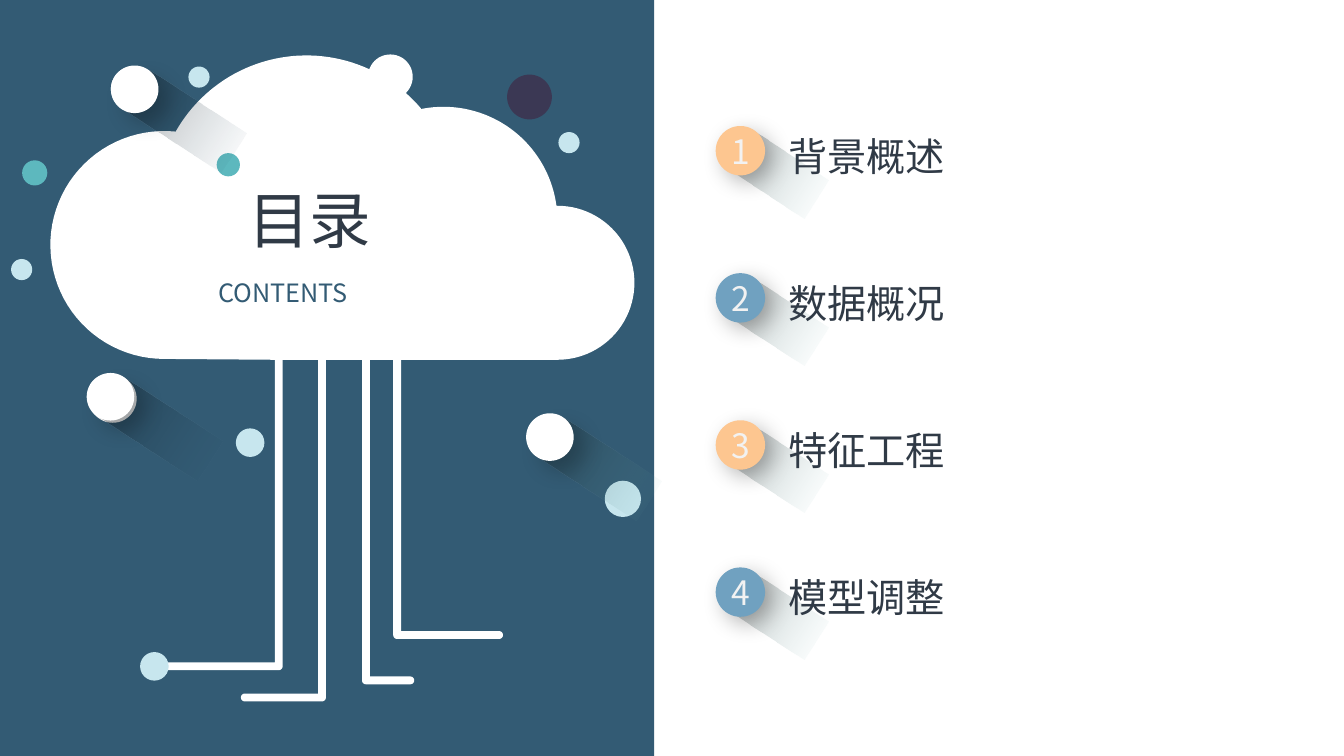
from math import cos, radians, sin

from lxml import etree
from pptx import Presentation
from pptx.dml.color import RGBColor
from pptx.enum.shapes import MSO_SHAPE
from pptx.enum.text import MSO_ANCHOR, MSO_AUTO_SIZE, PP_ALIGN
from pptx.oxml.ns import qn
from pptx.util import Pt

RECT, OVAL = MSO_SHAPE.RECTANGLE, MSO_SHAPE.OVAL
LEFT, CENTER, JUSTIFY = PP_ALIGN.LEFT, PP_ALIGN.CENTER, PP_ALIGN.JUSTIFY
TOP, MIDDLE = MSO_ANCHOR.TOP, MSO_ANCHOR.MIDDLE

# Content
HEADING = "目录"
SUBHEADING = "CONTENTS"
CHAPTERS = ["背景概述", "数据概况", "特征工程", "模型调整"]

THEME = {
    "font": "Noto Sans CJK SC",
    "panel": "335B74", "white": "FFFFFF", "ink": "303A46", "number": "F2F2F2",
    "orange": "FDC690", "blue": "70A1C0", "teal": "5DB8BE", "ice": "C7E6EE",
    "plum": "3B3854", "black": "000000", "mist": "84CBCB",
    "heading_size": 44, "chapter_size": 28, "number_size": 24, "sub_size": 18,
}

# Cloud lobes clockwise from the left: centre x, centre y, radius, from and to angle
LOBES = [
    (117.4, 175, 81.4, 90, 275.6),
    (218.9, 146.9, 107.3, 209.3, 320.1),
    (316.8, 157.7, 81.4, 259.3, 352.4),
    (398.2, 202, 55, 270, 450),
]
CLOUD_BASE = 257
# Circuit legs from right to left: stem x, foot y, tip x
LEGS = [(283.7, 453.6, 359.3), (261.4, 486, 295.9),
        (230, 498.2, 172.1), (199.1, 475.9, 110.9)]
LEG_HALF = 2.8

# Dots: left, top, diameter, colour
DOTS = [
    (79.2, 47.5, 32, "white"), (154.8, 109.4, 16.6, "teal"),
    (362.2, 53.3, 32, "plum"), (262.8, 38.9, 32, "white"),
    (63.4, 267.8, 34.2, "white"), (168.5, 306, 20.4, "ice"),
    (100.1, 465.8, 20.4, "ice"), (398.9, 94.3, 15.1, "ice"),
    (7.9, 185, 15.1, "ice"), (134.6, 47.5, 15.1, "ice"),
    (432, 343.4, 25.9, "ice"), (15.8, 114.5, 18, "teal"),
]
# Raised white dots: left, top, colour the long shadow fades to
RAISED_DOTS = [(61.9, 266.4, "panel"), (79.2, 46.8, "panel"), (375.8, 295.2, "mist")]
RAISED_SIZE = 34
CHAPTER_TOP, CHAPTER_STEP, BADGE_SIZE = 90, 105.1, 35.3

prs = Presentation()
prs.slide_width, prs.slide_height = Pt(960), Pt(540)
slide = prs.slides.add_slide(prs.slide_layouts[4])
shapes = slide.shapes
heading, *chapter_boxes, = [p for p in slide.placeholders if p.placeholder_format.idx < 5]


def rgb(name):
    return RGBColor.from_string(THEME[name])


def add_alpha(color, percent):
    etree.SubElement(color, qn("a:alpha"), val=str(percent * 1000))


def place(box, left, top, width, height):
    box.left, box.top, box.width, box.height = Pt(left), Pt(top), Pt(width), Pt(height)
    shapes.element.append(box.element)  # bring to front


def write(box, text, size, color, align=LEFT, anchor=TOP, wrap=True):
    frame = box.text_frame
    frame.word_wrap, frame.auto_size = wrap, MSO_AUTO_SIZE.NONE
    frame.vertical_anchor = anchor
    paragraph = frame.paragraphs[0]
    paragraph.alignment = align
    paragraph.space_before = Pt(0)
    props = paragraph._p.get_or_add_pPr()
    props.set("marL", "0")
    props.set("indent", "0")
    etree.SubElement(props, qn("a:buNone"))
    run = paragraph.add_run()
    run.text = text
    font = run.font
    font.name, font.size, font.bold = THEME["font"], Pt(THEME[size]), False
    font.color.rgb = rgb(color)
    etree.SubElement(run._r.get_or_add_rPr(), qn("a:ea"), typeface=THEME["font"])


def paint(shape, color):
    shape.shadow.inherit = False
    shape.fill.solid()
    shape.fill.fore_color.rgb = rgb(color)
    shape.line.fill.background()
    return shape


def draw(kind, left, top, width, height, color):
    return paint(shapes.add_shape(kind, Pt(left), Pt(top), Pt(width), Pt(height)), color)


def cast_shadow(shape, alpha, blur, distance):
    effects = shape.element.spPr.find(qn("a:effectLst"))
    outer = etree.SubElement(effects, qn("a:outerShdw"), blurRad=str(Pt(blur)),
                             dist=str(Pt(distance)), dir="2700000",
                             algn="tl", rotWithShape="0")
    add_alpha(etree.SubElement(outer, qn("a:srgbClr"), val=THEME["black"]), alpha)


def draw_streak(left, top, width, height, fade):
    streak = draw(RECT, left, top, width, height, fade)
    streak.rotation = 33
    streak.fill.gradient()
    streak.fill.gradient_angle = 0
    for stop, name in zip(streak.fill.gradient_stops, ("black", fade)):
        stop.color.rgb = rgb(name)
    colors = streak.element.spPr.find(qn("a:gradFill")).iter(qn("a:srgbClr"))
    for color, alpha in zip(list(colors), (34, 0)):
        add_alpha(color, alpha)


def arc(x, y, radius, start, end, steps=48):
    angles = [radians(start + (end - start) * i / steps) for i in range(steps + 1)]
    return [(x + radius * cos(a), y + radius * sin(a)) for a in angles]


def leg_outline(stem, foot, tip):
    side = 1 if tip > stem else -1
    reach, h = abs(tip - stem), LEG_HALF
    local = [(h, CLOUD_BASE), (h, foot - h)]
    local += arc(reach - h, foot, h, -90, 90, 12)
    local += arc(0, foot, h, 90, 180, 6)
    local.append((-h, CLOUD_BASE))
    return [(stem + side * x, y) for x, y in local][::side]


# Left panel and chapter long shadows
draw(RECT, 0, 0, 467.3, 540, "panel")
for row in range(len(CHAPTERS)):
    draw_streak(523, CHAPTER_TOP + 18 + row * CHAPTER_STEP, 65.5, 32.8, "mist")

# Cloud with circuit legs
outline = [point for leg in LEGS for point in leg_outline(*leg)]
outline += [point for lobe in LOBES for point in arc(*lobe)]
outline = [(Pt(x), Pt(y)) for x, y in outline]
builder = shapes.build_freeform(*outline[0], scale=1.0)
builder.add_line_segments(outline[1:], close=True)
paint(builder.convert_to_shape(), "white")

# Dots
for left, top, size, color in DOTS:
    draw(OVAL, left, top, size, size, color)

# Chapter list with numbered badges
for row, (chapter, box) in enumerate(zip(CHAPTERS, chapter_boxes)):
    top = CHAPTER_TOP + row * CHAPTER_STEP
    badge = draw(OVAL, 511.2, top, BADGE_SIZE, BADGE_SIZE, ("orange", "blue")[row % 2])
    cast_shadow(badge, 28, 16, 7)
    write(badge, str(row + 1), "number_size", "number", align=CENTER, anchor=MIDDLE, wrap=False)
    place(box, 555.8, top + 0.7, 127.4, 41)
    write(box, chapter, "chapter_size", "ink", wrap=False)

# Heading and subheading
place(heading, 149.8, 126, 143.3, 60.5)
write(heading, HEADING, "heading_size", "ink", align=CENTER)
subheading = shapes.add_textbox(Pt(149), Pt(194.4), Pt(157.7), Pt(28.8))
write(subheading, SUBHEADING, "sub_size", "panel", align=JUSTIFY)

# Raised dots with long shadows
for left, top, fade in RAISED_DOTS:
    draw_streak(left + 12.2, top + 23.3, 82.1, 33.8, fade)
    cast_shadow(draw(OVAL, left, top, RAISED_SIZE, RAISED_SIZE, "white"), 16, 14, 12)

prs.save("out.pptx")
